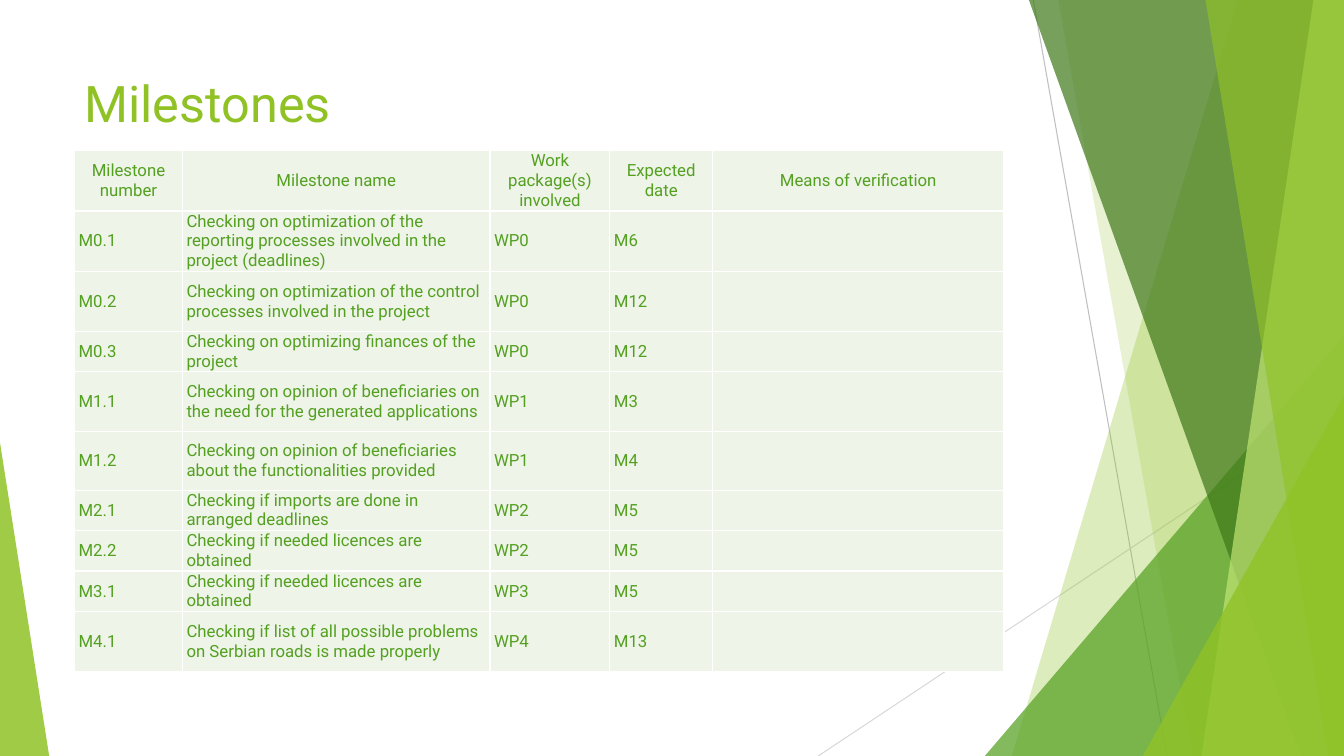
from lxml.etree import SubElement
from pptx import Presentation
from pptx.dml.color import RGBColor
from pptx.enum.shapes import MSO_CONNECTOR, MSO_SHAPE
from pptx.enum.text import MSO_ANCHOR, PP_ALIGN
from pptx.oxml import parse_xml
from pptx.oxml.ns import nsdecls, qn
from pptx.util import Cm, Pt

WIDTH, HEIGHT = 33.87, 19.05
LIME, GREEN, DARK_GREEN, PALE_LIME = "90C226", "54A021", "3F7819", "C0E474"
CELL_FILL, WHITE = "EEF4E8", "FFFFFF"

RIGHT_BANDS_BACK = [(31.19, 25.5, LIME, 30), (26.67, 30.05, LIME, 20)]
RIGHT_BANDS_FRONT = [
    (25.93, 32.79, DARK_GREEN, 70),
    (33.1, 30.28, PALE_LIME, 70),
    (30.38, 33.48, LIME, 65),
]

COLUMN_WIDTHS = [2.72, 7.75, 3.02, 2.59, 7.34]
ROW_HEIGHTS = [1.51, 1.51, 1.51, 1.02, 1.51, 1.47, 1.02, 1.02, 1.02, 1.51]
HEADINGS = ("Milestone number", "Milestone name", "Work package(s) involved",
            "Expected date", "Means of verification")
MILESTONES = [
    ("M0.1", "Checking on optimization of the reporting processes involved in the project (deadlines)",
     "WP0", "M6", ""),
    ("M0.2", "Checking on optimization of the control processes involved in the project",
     "WP0", "M12", ""),
    ("M0.3", "Checking on optimizing finances of the project", "WP0", "M12", ""),
    ("M1.1", "Checking on opinion of beneficiaries on the need for the generated applications",
     "WP1", "M3", ""),
    ("M1.2", "Checking on opinion of beneficiaries about the functionalities provided",
     "WP1", "M4", ""),
    ("M2.1", "Checking if imports are done in arranged deadlines", "WP2", "M5", ""),
    ("M2.2", "Checking if needed licences are obtained", "WP2", "M5", ""),
    ("M3.1", "Checking if needed licences are obtained", "WP3", "M5", ""),
    ("M4.1", "Checking if list of all possible problems on Serbian roads is made properly",
     "WP4", "M13", ""),
]


def rgb(color):
    return RGBColor.from_string(color)


class SlideBuilder:
    font_name = "Roboto"

    def __init__(self, slide):
        self.shapes = slide.shapes

    def paint(self, shape, color, opacity):
        shape.shadow.inherit = False
        shape.line.fill.background()
        shape.fill.solid()
        shape.fill.fore_color.rgb = rgb(color)
        srgb = shape._element.spPr.find(qn("a:solidFill"))[0]
        SubElement(srgb, qn("a:alpha"), val=str(opacity * 1000))

    def set_text(self, frame, text, size, color, align=PP_ALIGN.LEFT):
        frame.text = text
        for paragraph in frame.paragraphs:
            paragraph.alignment = align
            for run in paragraph.runs:
                run.font.name = self.font_name
                run.font.size = Pt(size)
                run.font.bold = False
                run.font.color.rgb = rgb(color)

    def line(self, x1, y1, x2, y2, color):
        connector = self.shapes.add_connector(
            MSO_CONNECTOR.STRAIGHT, Cm(x1), Cm(y1), Cm(x2), Cm(y2))
        connector.line.color.rgb = rgb(color)
        connector.line.width = Pt(0.75)
        SubElement(connector._element.spPr, qn("a:effectLst"))

    def right_band(self, top_x, bottom_x, color, opacity):
        outline = self.shapes.build_freeform(Cm(top_x), 0)
        corners = [(WIDTH, 0), (WIDTH, HEIGHT), (bottom_x, HEIGHT)]
        outline.add_line_segments([(Cm(x), Cm(y)) for x, y in corners], close=True)
        self.paint(outline.convert_to_shape(), color, opacity)

    def triangle(self, left, top, width, apex, color, opacity):
        corner = self.shapes.add_shape(
            MSO_SHAPE.ISOSCELES_TRIANGLE, Cm(left), Cm(top), Cm(width), Cm(HEIGHT - top))
        corner.adjustments[0] = apex
        self.paint(corner, color, opacity)

    def title(self, text, left, top, width, height):
        frame = self.shapes.add_textbox(Cm(left), Cm(top), Cm(width), Cm(height)).text_frame
        frame.word_wrap = True
        frame.vertical_anchor = MSO_ANCHOR.TOP
        self.set_text(frame, text, 36, LIME)

    def cell(self, cell, text, align):
        cell.margin_left = cell.margin_right = Cm(0.1)
        cell.margin_top = cell.margin_bottom = 0
        cell.vertical_anchor = MSO_ANCHOR.MIDDLE
        cell.fill.solid()
        cell.fill.fore_color.rgb = rgb(CELL_FILL)
        self.set_text(cell.text_frame, text, 12, GREEN, align)
        properties = cell._tc.get_or_add_tcPr()
        for position, side in enumerate(("lnL", "lnR", "lnT", "lnB")):
            properties.insert(position, parse_xml(
                f'<a:{side} {nsdecls("a")} w="{Pt(1)}"><a:solidFill>'
                f'<a:srgbClr val="{WHITE}"/></a:solidFill></a:{side}>'))

    def table(self, left, top, widths, heights, rows):
        table = self.shapes.add_table(
            len(heights), len(widths), Cm(left), Cm(top),
            Cm(sum(widths)), Cm(sum(heights))).table
        table.first_row = table.horz_banding = False
        for column, width in zip(table.columns, widths):
            column.width = Cm(width)
        for r, (row, height) in enumerate(zip(table.rows, heights)):
            row.height = Cm(height)
            align = PP_ALIGN.LEFT if r else PP_ALIGN.CENTER
            for cell, text in zip(row.cells, rows[r]):
                self.cell(cell, text, align)


def main():
    deck = Presentation()
    deck.slide_width, deck.slide_height = Cm(WIDTH), Cm(HEIGHT)
    builder = SlideBuilder(deck.slides.add_slide(deck.slide_layouts[6]))

    builder.line(26.04, 0, 29.41, HEIGHT, "BFBFBF")
    builder.line(WIDTH, 10.24, 20.62, HEIGHT, "D9D9D9")
    for band in RIGHT_BANDS_BACK:
        builder.right_band(*band)
    builder.triangle(24.82, 8.46, 9.05, 1, GREEN, 72)
    for band in RIGHT_BANDS_FRONT:
        builder.right_band(*band)
    builder.triangle(28.8, 9.98, 5.07, 1, LIME, 80)
    builder.triangle(0, 11.15, 1.24, 0, LIME, 85)

    builder.title("Milestones", 1.88, 1.7, 23.88, 3.66)
    builder.table(1.88, 3.79, COLUMN_WIDTHS, ROW_HEIGHTS, [HEADINGS, *MILESTONES])
    deck.save("out.pptx")


if __name__ == "__main__":
    main()
